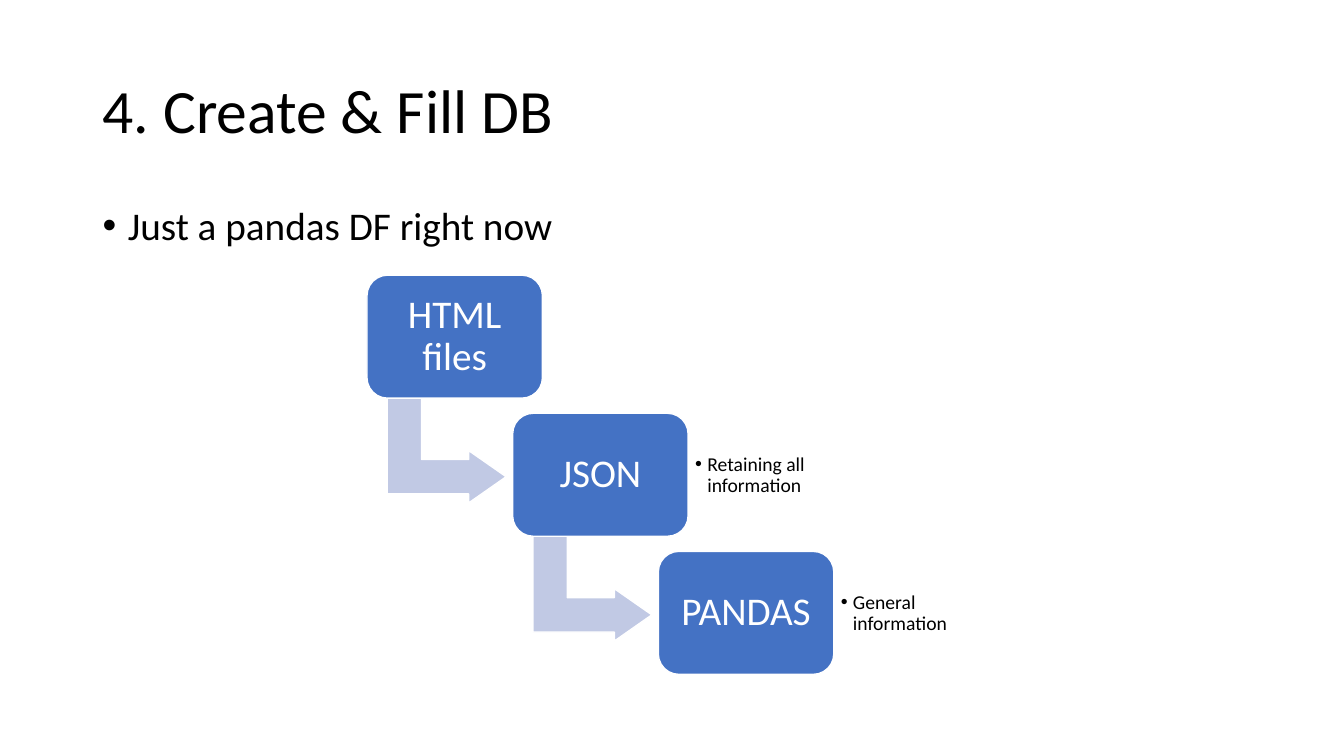
from lxml.etree import SubElement
from pptx import Presentation
from pptx.dml.color import RGBColor
from pptx.enum.shapes import MSO_SHAPE as Shape
from pptx.enum.text import MSO_ANCHOR as Anchor, PP_ALIGN as Align
from pptx.oxml.ns import qn
from pptx.util import Inches, Pt

BLACK = RGBColor(0x00, 0x00, 0x00)
WHITE = RGBColor(0xFF, 0xFF, 0xFF)
BLUE = RGBColor(0x44, 0x72, 0xC4)
PALE_BLUE = RGBColor(0xC1, 0xC9, 0xE4)

# Each step of the staircase: label and side note
STEPS = [
    ("HTML files", None),
    ("JSON", "Retaining all information"),
    ("PANDAS", "General information"),
]
FIRST_LEFT, FIRST_TOP = 3.64, 2.73
STEP_RIGHT, STEP_DOWN = 1.445, 1.37
BOX_WIDTH, BOX_HEIGHT = 1.74, 1.22


def write_text(shape, text, size, color, anchor, inset_x, inset_y):
    frame = shape.text_frame
    frame.text = text
    frame.word_wrap = True
    frame.vertical_anchor = anchor
    frame.margin_left = frame.margin_right = Inches(inset_x)
    frame.margin_top = frame.margin_bottom = Inches(inset_y)
    para = frame.paragraphs[0]
    para.line_spacing = 0.9
    font = para.runs[0].font
    font.name = "Calibri"
    font.size = Pt(size)
    font.color.rgb = color
    return para


def add_text(page, text, left, top, width, height, size,
             anchor=Anchor.MIDDLE, inset_x=0.1, inset_y=0.05):
    box = page.shapes.add_textbox(
        Inches(left), Inches(top), Inches(width), Inches(height))
    return write_text(box, text, size, BLACK, anchor, inset_x, inset_y)


def add_bullet(para, indent):
    properties = para._p.get_or_add_pPr()
    properties.set("marL", str(Inches(indent)))
    properties.set("indent", str(-Inches(indent)))
    SubElement(properties, qn("a:buFont")).set("typeface", "Arial")
    SubElement(properties, qn("a:buChar")).set("char", "•")


def add_filled_shape(page, kind, left, top, width, height, color):
    shape = page.shapes.add_shape(
        kind, Inches(left), Inches(top), Inches(width), Inches(height))
    shape.shadow.inherit = False
    shape.fill.solid()
    shape.fill.fore_color.rgb = color
    shape.line.color.rgb = WHITE
    shape.line.width = Pt(1)
    return shape


def add_arrow(page, box_left, box_top):
    arrow = add_filled_shape(page, Shape.BENT_UP_ARROW, box_left + 0.27,
                             box_top + 1.15, 1.04, 1.18, PALE_BLUE)
    arrow.rotation = 90
    for index, value in enumerate((0.328, 0.25, 0.358)):
        arrow.adjustments[index] = value


def add_step(page, label, note, left, top):
    box = add_filled_shape(page, Shape.ROUNDED_RECTANGLE, left, top,
                           BOX_WIDTH, BOX_HEIGHT, BLUE)
    box.adjustments[0] = 0.167
    para = write_text(box, label, 28, WHITE, Anchor.MIDDLE, 0.12, 0.12)
    para.alignment = Align.CENTER
    if note:
        para = add_text(page, note, left + BOX_WIDTH, top + 0.12, 1.27, 0.99,
                        14, inset_x=0.07, inset_y=0.07)
        add_bullet(para, 0.12)


def main():
    deck = Presentation()
    deck.slide_width, deck.slide_height = Inches(13.33), Inches(7.5)
    page = deck.slides.add_slide(deck.slide_layouts[6])

    # Title and body
    add_text(page, "4. Create & Fill DB", 0.92, 0.4, 11.5, 1.45, 44)
    body = add_text(page, "Just a pandas DF right now", 0.92, 2, 11.5, 4.76,
                    28, Anchor.TOP)
    body.space_before = Pt(10)
    add_bullet(body, 0.25)

    # Staircase of steps, an arrow leading from each to the next
    for index, (label, note) in enumerate(STEPS):
        left = FIRST_LEFT + index * STEP_RIGHT
        top = FIRST_TOP + index * STEP_DOWN
        if index < len(STEPS) - 1:
            add_arrow(page, left, top)
        add_step(page, label, note, left, top)

    deck.save("out.pptx")


if __name__ == "__main__":
    main()
